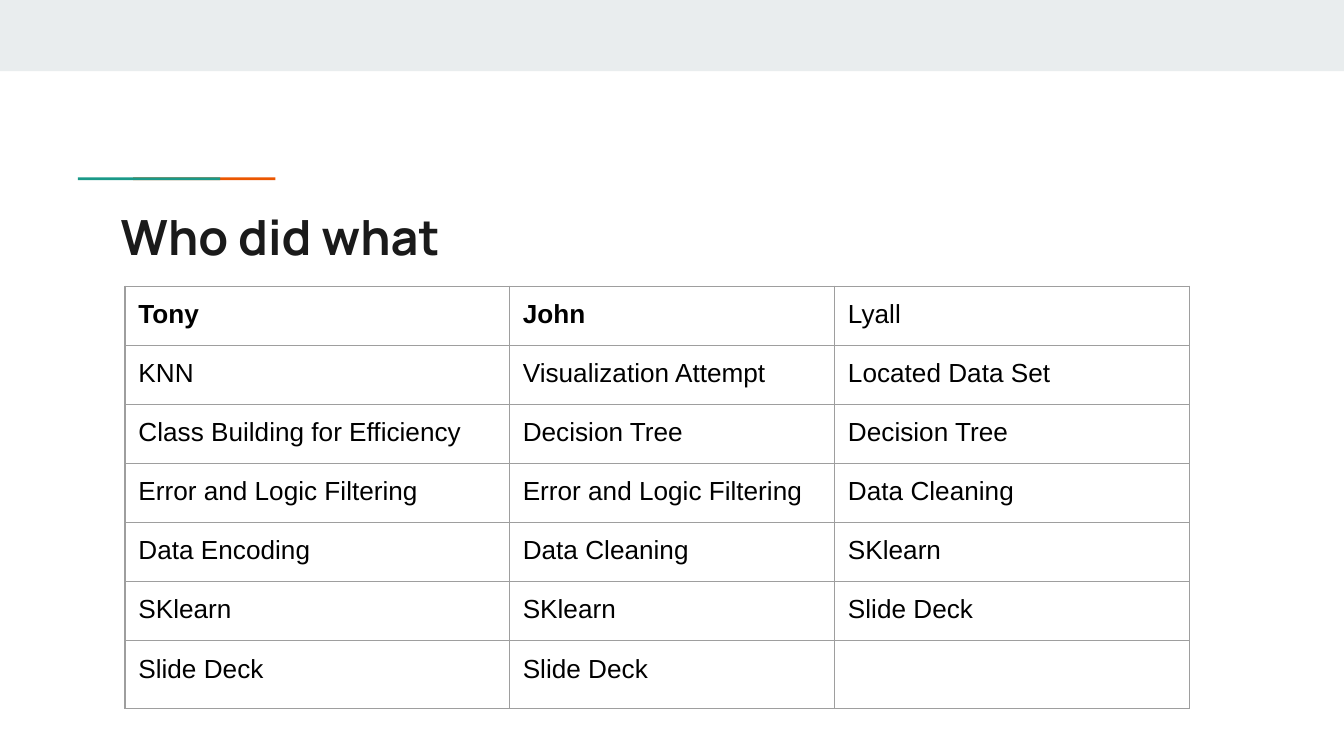
from lxml import etree
from pptx import Presentation
from pptx import util as u
from pptx.dml.color import RGBColor
from pptx.enum import shapes, text
from pptx.oxml import ns

W = 10
H = W * 9 / 16
MARGIN = 0.1
ROWS = [
    ("Tony", "John", "Lyall"),
    ("KNN", "Visualization Attempt", "Located Data Set"),
    ("Class Building for Efficiency", "Decision Tree", "Decision Tree"),
    ("Error and Logic Filtering", "Error and Logic Filtering", "Data Cleaning"),
    ("Data Encoding", "Data Cleaning", "SKlearn"),
    ("SKlearn", "SKlearn", "Slide Deck"),
    ("Slide Deck", "Slide Deck", ""),
]
BOLD_HEADS = ("Tony", "John")


def rgb(value):
    return RGBColor.from_string(value)


def inches(*lengths):
    return [u.Inches(n) for n in lengths]


def add_bar(s, box, color):
    sp = s.shapes.add_shape(shapes.MSO_SHAPE.RECTANGLE, *inches(*box))
    sp.shadow.inherit = False
    sp.fill.solid()
    sp.fill.fore_color.rgb = rgb(color)
    sp.line.fill.background()


def add_run(p, words, font, size, color, bold):
    r = p.add_run()
    r.text = words
    r.font.name = font
    r.font.size = u.Pt(size)
    r.font.color.rgb = rgb(color)
    r.font.bold = bold


def set_margins(target):
    """Give a text frame or a table cell equal insets."""
    for side in ("left", "top", "right", "bottom"):
        setattr(target, f"margin_{side}", u.Inches(MARGIN))


def add_accent(s, box):
    """Two overlapping bars, the front one at the left."""
    left, top, width, height = box
    bar = width * 0.72
    add_bar(s, (left + width - bar, top, bar, height), "EB5600")
    add_bar(s, (left, top, bar, height), "1A9988")


def add_title(s, box, words):
    tf = s.shapes.add_textbox(*inches(*box)).text_frame
    tf.word_wrap = True
    tf.vertical_anchor = text.MSO_ANCHOR.TOP
    set_margins(tf)
    add_run(tf.paragraphs[0], words, "Manrope", 26, "1A1A1A", True)


def set_borders(cell, color, points):
    tc_pr = cell._tc.get_or_add_tcPr()
    for i, side in enumerate(("lnL", "lnR", "lnT", "lnB")):
        ln = etree.Element(ns.qn(f"a:{side}"), w=str(u.Pt(points)))
        fill = etree.SubElement(ln, ns.qn("a:solidFill"))
        etree.SubElement(fill, ns.qn("a:srgbClr"), val=color)
        tc_pr.insert(i, ln)


def add_task_table(s, box, shares):
    """Fill the box with the rows; shares divide its width into columns."""
    frame = s.shapes.add_table(len(ROWS), len(shares), *inches(*box))
    table = frame.table
    table.first_row = table.horz_banding = False
    for column, share in zip(table.columns, shares):
        column.width = u.Inches(box[2] * share / sum(shares))
    for i, row in enumerate(ROWS):
        for j, words in enumerate(row):
            cell = table.cell(i, j)
            cell.fill.background()
            set_margins(cell)
            set_borders(cell, "9E9E9E", 0.75)
            if words:
                add_run(cell.text_frame.paragraphs[0], words, "Arial", 14,
                        "000000", words in BOLD_HEADS)


def main():
    prs = Presentation()
    prs.slide_width, prs.slide_height = inches(W, H)
    s = prs.slides.add_slide(prs.slide_layouts[6])
    add_bar(s, (0, 0, W, 0.53), "E9EDEE")
    add_accent(s, (0.58, 1.32, 1.47, 0.02))
    add_title(s, (0.8, 1.44, 8.41, 0.59), "Who did what")
    add_task_table(s, (0.93, 2.13, 7.92, 3.08), (2.86, 2.42, 2.64))
    prs.save("out.pptx")


if __name__ == "__main__":
    main()
